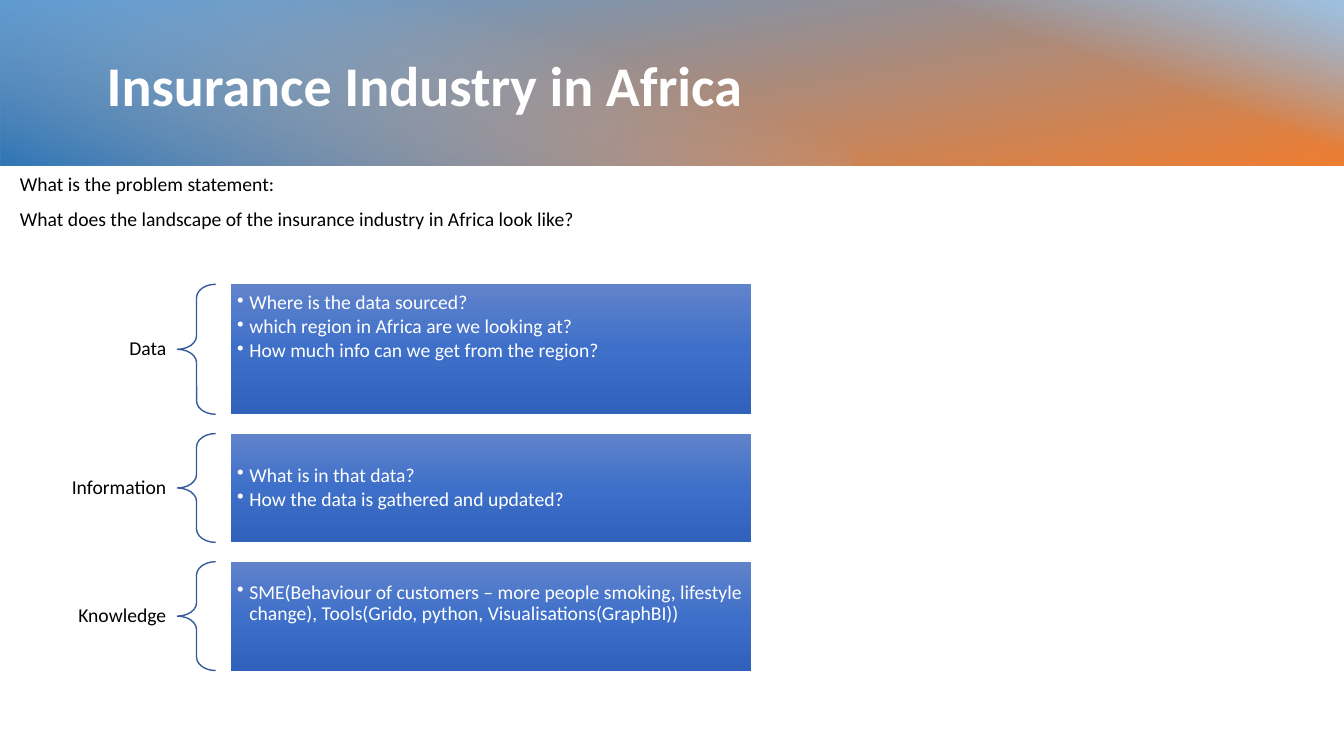
from lxml import etree
from pptx import Presentation
from pptx.dml.color import RGBColor
from pptx.enum.shapes import MSO_SHAPE as Preset
from pptx.enum.text import MSO_ANCHOR as Anchor, PP_ALIGN as Align
from pptx.oxml.ns import qn
from pptx.util import Inches, Pt

# Slide grid: 100 columns by 100 rows
WIDTH, HEIGHT = Inches(13.33), Inches(7.5)
COLUMN, ROW = WIDTH / 100, HEIGHT / 100

WHITE = RGBColor(0xFF, 0xFF, 0xFF)
BLACK = RGBColor(0x00, 0x00, 0x00)
BRACE_BLUE = RGBColor(0x36, 0x5B, 0x9D)
SKY = RGBColor(0x5B, 0x9B, 0xD5)
ORANGE = RGBColor(0xED, 0x7D, 0x31)
PALE_BLUE = RGBColor(0x9D, 0xC3, 0xE6)
DEEP_BLUE = RGBColor(0x2E, 0x75, 0xB6)
CARD_TOP = RGBColor(0x61, 0x83, 0xCB)
CARD_MIDDLE = RGBColor(0x3E, 0x70, 0xCA)
CARD_BOTTOM = RGBColor(0x30, 0x62, 0xBB)

# Gradient stops: position, colour, opacity (all in percent)
CARD_STOPS = [(0, CARD_TOP, 100), (50, CARD_MIDDLE, 100), (100, CARD_BOTTOM, 100)]

# Banner layers: left column, width in columns, rotation, angle, stops
BANNER_ROWS = 21.9
BANNER = [
    (0, 100, 270, 170, [(0, SKY, 100), (100, ORANGE, 100)]),
    (58.5, 41.5, 270, 20, [(59, PALE_BLUE, 0), (100, PALE_BLUE, 100)]),
    (0, 63.3, 90, 20, [(29, PALE_BLUE, 0), (100, DEEP_BLUE, 100)]),
]

# Topics: label, height in rows, extra space below the text in inches, questions
FIRST_ROW, GAP_ROWS = 37.6, 2.55
TOPICS = [
    ("Data", 17.2, 0.43, [
        "Where is the data sourced?",
        "which region in Africa are we looking at?",
        "How much info can we get from the region?"]),
    ("Information", 14.4, 0, [
        "What is in that data?",
        "How the data is gathered and updated?"]),
    ("Knowledge", 14.4, 0.24, [
        "SME(Behaviour of customers – more people smoking, lifestyle change), "
        "Tools(Grido, python, Visualisations(GraphBI))"]),
]


def grid_box(left, top, width, height):
    return [round(length) for length in
            (left * COLUMN, top * ROW, width * COLUMN, height * ROW)]


def set_all(target, values):
    for name, value in values.items():
        setattr(target, name, value)


def add_preset(slide, preset, box):
    shape = slide.shapes.add_shape(preset, *box)
    shape.shadow.inherit = False
    shape.fill.background()
    shape.line.fill.background()
    return shape


def fill_gradient(shape, stops, angle):
    properties = shape._element.spPr
    properties.remove(properties.find(qn("a:noFill")))
    gradient = etree.Element(qn("a:gradFill"), rotWithShape="1")
    stop_list = etree.SubElement(gradient, qn("a:gsLst"))
    for position, colour, opacity in stops:
        stop = etree.SubElement(stop_list, qn("a:gs"), pos=str(position * 1000))
        tint = etree.SubElement(stop, qn("a:srgbClr"), val=str(colour))
        if opacity < 100:
            etree.SubElement(tint, qn("a:alpha"), val=str(opacity * 1000))
    etree.SubElement(gradient, qn("a:lin"), ang=str(angle * 60000), scaled="0")
    properties.find(qn("a:prstGeom")).addnext(gradient)


def write_text(shape, lines, frame_format, paragraph_format, font_format, bullet=False):
    frame = shape.text_frame
    set_all(frame, {"word_wrap": True, **frame_format})
    for index, line in enumerate(lines):
        paragraph = frame.paragraphs[0] if index == 0 else frame.add_paragraph()
        set_all(paragraph, {"line_spacing": 0.9, "alignment": Align.LEFT,
                            **paragraph_format})
        run = paragraph.add_run()
        run.text = line
        color = font_format["color"]
        set_all(run.font, {"name": "Calibri", "size": Pt(font_format["size"]),
                           "bold": font_format.get("bold", False)})
        run.font.color.rgb = color
        if bullet:
            add_bullet(paragraph)


def add_bullet(paragraph):
    properties = paragraph._p.get_or_add_pPr()
    indent = Inches(0.12)
    properties.set("marL", str(indent))
    properties.set("indent", str(-indent))
    etree.SubElement(properties, qn("a:buChar"), char="•")


def add_banner_layer(slide, left, width, rotation, angle, stops):
    # The shape stands upright about its centre, then turns to lie flat
    x, y, long_side, short_side = grid_box(left, 0, width, BANNER_ROWS)
    shift = (long_side - short_side) // 2
    layer = add_preset(slide, Preset.RECTANGLE,
                       (x + shift, y - shift, short_side, long_side))
    layer.rotation = rotation
    fill_gradient(layer, stops, angle)


def add_topic(slide, top, label, height, space_below, questions):
    # Label
    text_box = slide.shapes.add_textbox(*grid_box(0, top, 13.2, height))
    write_text(text_box, [label],
               {"vertical_anchor": Anchor.MIDDLE, "margin_right": Inches(0.11)},
               {"alignment": Align.RIGHT}, {"size": 14, "color": BLACK})

    # Brace
    brace = add_preset(slide, Preset.LEFT_BRACE, grid_box(13.2, top, 2.85, height))
    brace.adjustments[0] = 0.35
    brace.line.color.rgb = BRACE_BLUE
    brace.line.width = Pt(1)

    # Question card
    card = add_preset(slide, Preset.RECTANGLE, grid_box(17.2, top, 38.7, height))
    fill_gradient(card, CARD_STOPS, 90)
    margin = Inches(0.06)
    write_text(card, questions,
               {"vertical_anchor": Anchor.MIDDLE, "margin_left": margin,
                "margin_right": margin, "margin_top": margin,
                "margin_bottom": margin + Inches(space_below)},
               {"space_after": Pt(2)}, {"size": 14, "color": WHITE}, bullet=True)


def main():
    presentation = Presentation()
    set_all(presentation, {"slide_width": WIDTH, "slide_height": HEIGHT})
    slide = presentation.slides.add_slide(presentation.slide_layouts[6])

    # Banner and title
    for layer in BANNER:
        add_banner_layer(slide, *layer)
    title = slide.shapes.add_textbox(*grid_box(7.2, 4.4, 86, 14.7))
    write_text(title, ["Insurance Industry in Africa"],
               {"vertical_anchor": Anchor.MIDDLE}, {},
               {"size": 40, "color": WHITE, "bold": True})

    # Problem statement
    statement = slide.shapes.add_textbox(*grid_box(0.75, 22.4, 63.3, 10.4))
    write_text(statement,
               ["What is the problem statement:",
                "What does the landscape of the insurance industry in Africa look like?"],
               {"vertical_anchor": Anchor.TOP}, {"space_after": Pt(10)},
               {"size": 14, "color": BLACK})

    # Topics, stacked with equal gaps
    top = FIRST_ROW
    for label, height, space_below, questions in TOPICS:
        add_topic(slide, top, label, height, space_below, questions)
        top += height + GAP_ROWS

    presentation.save("out.pptx")


if __name__ == "__main__":
    main()
